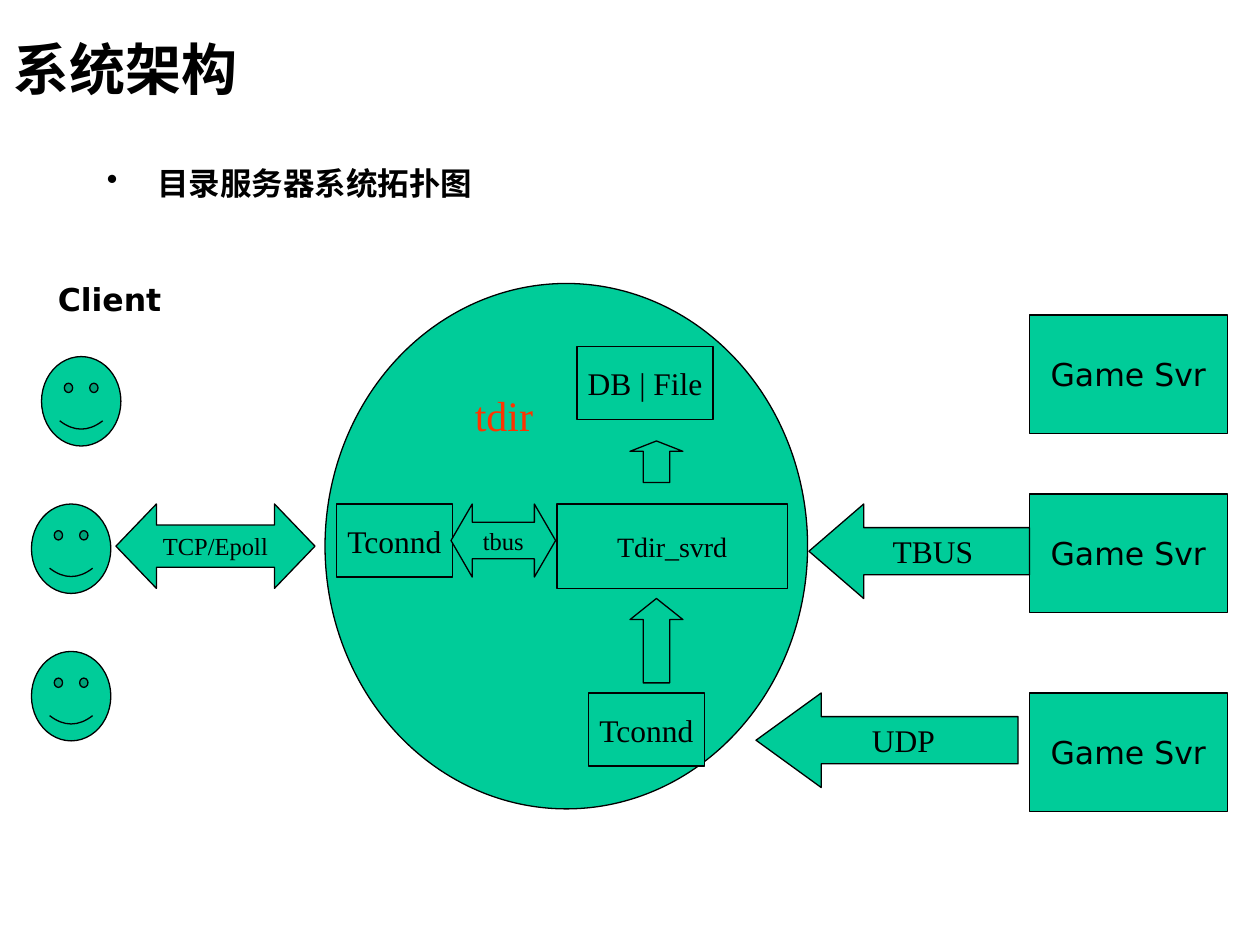
import pptx
import pptx.dml.color
import pptx.enum.shapes
import pptx.enum.text
import pptx.oxml
import pptx.oxml.ns
import pptx.util

Inches = pptx.util.Inches
Pt = pptx.util.Pt
KIND = pptx.enum.shapes.MSO_SHAPE
ALIGN = pptx.enum.text.PP_ALIGN
ANCHOR = pptx.enum.text.MSO_ANCHOR

SERIF, SANS = "Times New Roman", "DejaVu Sans"
GREEN, BLACK, RED = "00CC99", "000000", "FF3300"

# Text boxes: text, (left, top, width, height), anchor, alignment, font, size
TITLE = ("系统架构", (0.01, 0.08, 6.57, 0.92), ANCHOR.MIDDLE, ALIGN.LEFT, SERIF, 32)
TOPIC = ("目录服务器系统拓扑图", (0.75, 1.25, 8.59, 0.42), ANCHOR.TOP, ALIGN.LEFT, SERIF, 18)
CLIENT = ("Client", (0.08, 2.17, 1.58, 0.4), ANCHOR.TOP, ALIGN.CENTER, SANS, 18)

# Clients and game servers
FACE_SIZE = (0.63, 0.71)
FACE_LEFTS = (0.33, 0.25, 0.25)
FACE_TOP, FACE_STEP = 2.83, 1.17
SERVER_LEFT, SERVER_SIZE = 8.17, (1.57, 0.94)
SERVER_TOPS = (2.5, 3.92, 5.5)

# Parts of the directory service: text, place, size
DIRECTORY = (2.58, 2.25, 3.83, 4.17)
DIRECTORY_NAME = ("tdir", (3.67, 3.08, 0.59, 0.42), 24)
MODULES = [
    ("Tconnd", (2.67, 4, 0.92, 0.58), 18),
    ("Tdir_svrd", (4.42, 4, 1.83, 0.67), 16),
    ("Tconnd", (4.67, 5.5, 0.92, 0.58), 18),
    ("DB | File", (4.58, 2.75, 1.08, 0.58), 18),
]

# Arrows: kind, text, place, size, head length
ARROWS = [
    (KIND.LEFT_RIGHT_ARROW, "tbus", (3.58, 4, 0.83, 0.58), 14, 0.29),
    (KIND.LEFT_RIGHT_ARROW, "TCP/Epoll", (0.92, 4, 1.58, 0.67), 14, 0.48),
    (KIND.LEFT_ARROW, "TBUS", (6.42, 4, 1.75, 0.75), 18, 0.58),
    (KIND.LEFT_ARROW, "UDP", (6, 5.5, 2.08, 0.75), 18, 0.69),
    (KIND.UP_ARROW, "", (5, 4.75, 0.42, 0.67), 18, 0.4),
    (KIND.UP_ARROW, "", (5, 3.5, 0.42, 0.33), 18, 0.25),
]


def color(value):
    return pptx.dml.color.RGBColor.from_string(value)


def apply(target, values):
    for name, value in values.items():
        setattr(target, name, value)


def write(box, text, font, size, tint=BLACK, bold=False, align=ALIGN.CENTER,
          anchor=ANCHOR.MIDDLE, wrap=False):
    frame = box.text_frame
    apply(frame, {
        "word_wrap": wrap, "vertical_anchor": anchor,
        "margin_left": Inches(0.1), "margin_right": Inches(0.1),
        "margin_top": Inches(0.05), "margin_bottom": Inches(0.05),
    })
    para = frame.paragraphs[0]
    para.alignment = align
    span = para.add_run()
    span.text = text
    apply(span.font, {"name": font, "size": Pt(size), "bold": bold})
    span.font.color.rgb = color(tint)
    return para


def add_label(page, text, place, anchor, align, font, size):
    box = page.shapes.add_textbox(*map(Inches, place))
    return write(box, text, font, size, BLACK, True, align, anchor, True)


def add_part(page, kind, place, text="", font=SERIF, size=18, tint=BLACK,
             align=ALIGN.CENTER, outlined=True):
    shape = page.shapes.add_shape(kind, *map(Inches, place))
    shape.shadow.inherit = False
    shape.fill.solid()
    shape.fill.fore_color.rgb = color(GREEN)
    if outlined:
        shape.line.color.rgb = color(BLACK)
        shape.line.width = Pt(0.75)
    else:
        shape.line.fill.background()
    if text:
        write(shape, text, font, size, tint, align=align)
    return shape


def add_bullet(para, indent):
    properties = para._p.get_or_add_pPr()
    properties.set("marL", str(Inches(indent)))
    properties.set("indent", str(-Inches(indent)))
    properties.append(pptx.oxml.parse_xml(
        f'<a:buChar {pptx.oxml.ns.nsdecls("a")} char="•"/>'))


def main():
    deck = pptx.Presentation()
    deck.slide_width, deck.slide_height = Inches(10), Inches(7.5)
    page = deck.slides.add_slide(deck.slide_layouts[6])

    # Headings
    add_label(page, *TITLE)
    add_bullet(add_label(page, *TOPIC), 0.4)
    add_label(page, *CLIENT)

    # Clients on the left, game servers on the right
    for row, left in enumerate(FACE_LEFTS):
        add_part(page, KIND.SMILEY_FACE, (left, FACE_TOP + row * FACE_STEP, *FACE_SIZE))
    for top in SERVER_TOPS:
        add_part(page, KIND.RECTANGLE, (SERVER_LEFT, top, *SERVER_SIZE), "Game Svr", SANS)

    # Directory service and its modules
    add_part(page, KIND.OVAL, DIRECTORY)
    name, place, size = DIRECTORY_NAME
    add_part(page, KIND.RECTANGLE, place, name, SERIF, size, RED, ALIGN.LEFT, False)
    for text, place, size in MODULES:
        add_part(page, KIND.RECTANGLE, place, text, SERIF, size)

    # Protocols and data flow
    for kind, text, place, size, head in ARROWS:
        arrow = add_part(page, kind, place, text, SERIF, size)
        arrow.adjustments[0] = 0.5
        arrow.adjustments[1] = head

    deck.save("out.pptx")


if __name__ == "__main__":
    main()
